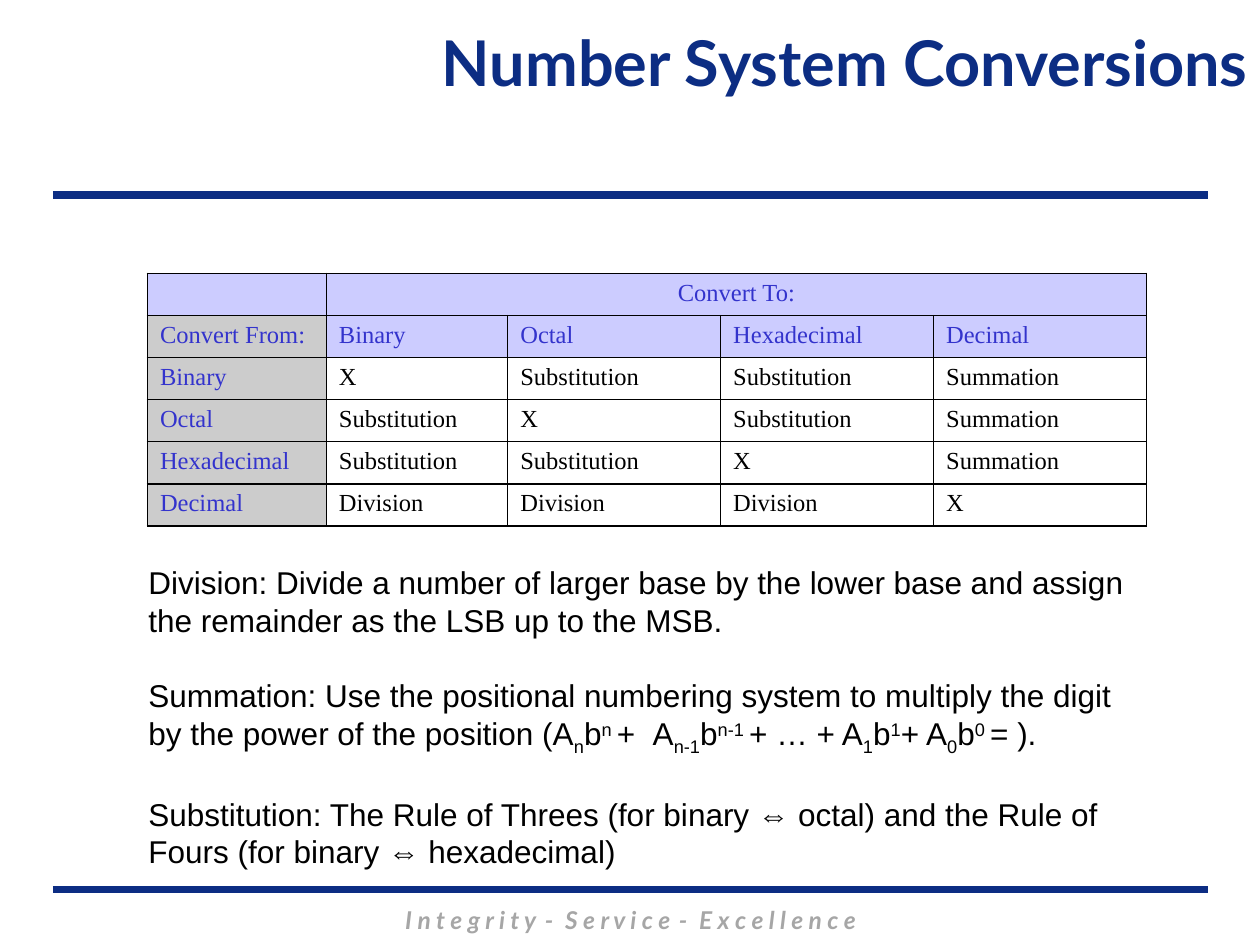
from lxml import etree
from pptx import Presentation
from pptx.dml.color import RGBColor
from pptx.enum.shapes import MSO_CONNECTOR
from pptx.enum.text import MSO_ANCHOR, PP_ALIGN
from pptx.oxml.ns import qn
from pptx.util import Inches, Pt

STRAIGHT = MSO_CONNECTOR.STRAIGHT
MIDDLE, TOP = MSO_ANCHOR.MIDDLE, MSO_ANCHOR.TOP
LEFT, CENTER, RIGHT = PP_ALIGN.LEFT, PP_ALIGN.CENTER, PP_ALIGN.RIGHT

NAVY, GRAY, BLACK, WHITE = "0C2D83", "A6A6A6", "000000", "FFFFFF"
HEADING, COLUMN_FILL, ROW_FILL = "3333CC", "CCCCFF", "CCCCCC"
SUB, SUPER = {"baseline": "-25000"}, {"baseline": "30000"}
WIDE_DASH, WIDE_GAP = {"spc": "180"}, {"spc": "500"}


def color(value):
    return RGBColor.from_string(value)


class SlideBuilder:
    title_font, table_font, body_font = "Lato", "Times New Roman", "Arial"

    def __init__(self, slide):
        self.slide = slide

    def style(self, font, name, size, shade, bold=False, italic=False):
        font.name, font.size = name, Pt(size)
        font.bold, font.italic = bold, italic
        font.color.rgb = color(shade)

    def rule(self, y):
        line = self.slide.shapes.add_connector(
            STRAIGHT, Inches(0.42), Inches(y), Inches(9.59), Inches(y))
        line.line.color.rgb = color(NAVY)
        line.line.width = Pt(4.5)
        etree.SubElement(line._element.spPr, qn("a:effectLst"))

    def text(self, area, paragraphs, name, size, shade, align=LEFT,
             anchor=TOP, gap=0, bold=False, italic=False):
        box = self.slide.shapes.add_textbox(*map(Inches, area))
        frame = box.text_frame
        frame.word_wrap = True
        frame.vertical_anchor = anchor
        for index, spans in enumerate(paragraphs):
            para = frame.add_paragraph() if index else frame.paragraphs[0]
            para.alignment = align
            if index:
                para.space_before = Pt(gap)
            for words, extras in spans:
                span = para.add_run()
                span.text = words
                self.style(span.font, name, size, shade, bold, italic)
                for key, value in extras.items():
                    span.font._element.set(key, value)

    def border(self, cell):
        properties = cell._tc.get_or_add_tcPr()
        for index, side in enumerate(("lnL", "lnR", "lnT", "lnB")):
            line = etree.Element(qn(f"a:{side}"), w=str(Pt(1)))
            fill = etree.SubElement(line, qn("a:solidFill"))
            etree.SubElement(fill, qn("a:srgbClr"), val=BLACK)
            properties.insert(index, line)

    def table(self, left, top, widths, row_height, rows):
        table = self.slide.shapes.add_table(
            len(rows), len(widths), Inches(left), Inches(top),
            Inches(sum(widths)), Inches(row_height * len(rows))).table
        for column, width in zip(table.columns, widths):
            column.width = Inches(width)
        for row_index, values in enumerate(rows):
            table.rows[row_index].height = Inches(row_height)
            for column_index, value in enumerate(values):
                cell = table.cell(row_index, column_index)
                cell.text_frame.text = value
                heading = row_index < 2 or column_index == 0
                self.style(cell.text_frame.paragraphs[0].font, self.table_font,
                           14, HEADING if heading else BLACK)
                if column_index == 0 and row_index > 0:
                    shade = ROW_FILL
                else:
                    shade = COLUMN_FILL if heading else WHITE
                cell.fill.solid()
                cell.fill.fore_color.rgb = color(shade)
                self.border(cell)
        table.cell(0, 1).merge(table.cell(0, len(widths) - 1))
        table.cell(0, 1).text_frame.paragraphs[0].alignment = CENTER


def main():
    deck = Presentation()
    deck.slide_width, deck.slide_height = Inches(10), Inches(7.5)
    page = SlideBuilder(deck.slides.add_slide(deck.slide_layouts[6]))

    for y in (7.06, 1.55):
        page.rule(y)

    motto = [("I n t e g r i t y", {}), (" - ", WIDE_DASH),
             ("S e r v i c e", {}), (" - ", WIDE_DASH),
             ("E x c e l l e n c e", {})]
    page.text((1.42, 7.13, 7.17, 0.34), [motto], page.title_font, 14, GRAY,
              CENTER, bold=True, italic=True)
    page.text((1.5, 0, 8.5, 0.97), [[("Number System Conversions", {})]],
              page.title_font, 36, NAVY, RIGHT, MIDDLE, bold=True)

    page.table(1.17, 2.17, [1.42, 1.44, 1.69, 1.69, 1.69], 0.26, [
        ["", "Convert To:", "", "", ""],
        ["Convert From:", "Binary", "Octal", "Hexadecimal", "Decimal"],
        ["Binary", "X", "Substitution", "Substitution", "Summation"],
        ["Octal", "Substitution", "X", "Substitution", "Summation"],
        ["Hexadecimal", "Substitution", "Substitution", "X", "Summation"],
        ["Decimal", "Division", "Division", "Division", "X"],
    ])

    division = [("Division: Divide a number of larger base by the lower base "
                 "and assign the remainder as the LSB up to the MSB.", {})]
    summation = [
        ("Summation: Use the positional numbering system to multiply the digit "
         "by the power of the position (A", {}),
        ("n", SUB), ("b", {}), ("n ", SUPER), ("+", {}), (" ", WIDE_GAP),
        ("A", {}), ("n-1", SUB), ("b", {}), ("n-1 ", SUPER), ("+ … + A", {}),
        ("1", SUB), ("b", {}), ("1", SUPER), ("+ A", {}),
        ("0", SUB), ("b", {}), ("0 ", SUPER), ("= ).", {})]
    substitution = [("Substitution: The Rule of Threes (for binary ⇔ octal) and "
                     "the Rule of Fours (for binary ⇔ hexadecimal)", {})]
    page.text((1.08, 4.42, 8.08, 2.52), [division, summation, substitution],
              page.body_font, 18, BLACK, gap=21.5)

    deck.save("out.pptx")


if __name__ == "__main__":
    main()
